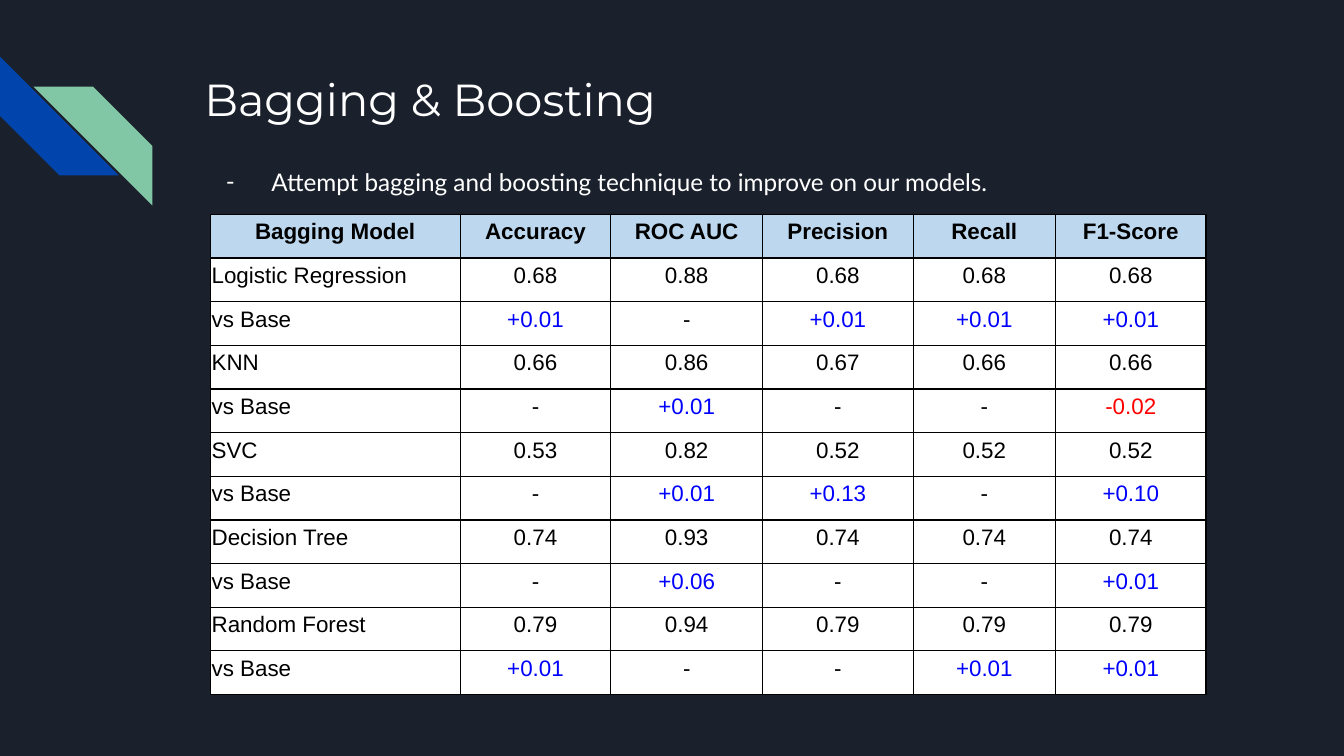
from typing import NamedTuple

from lxml import etree
from pptx import Presentation
from pptx import util as u
from pptx.dml.color import RGBColor
from pptx.enum import shapes, text
from pptx.oxml import ns

SCALE = 4572  # EMU per px, 200 px to the inch

NIGHT = RGBColor(0x1B, 0x21, 0x2C)
BLUE = RGBColor(0x01, 0x45, 0xAC)
GREEN = RGBColor(0x82, 0xC7, 0xA5)
WHITE = RGBColor(0xFF, 0xFF, 0xFF)
BLACK = RGBColor(0x00, 0x00, 0x00)
HEADER_FILL = RGBColor(0xBD, 0xD7, 0xEE)
GAIN = RGBColor(0x00, 0x00, 0xFF)
LOSS = RGBColor(0xFF, 0x00, 0x00)


class Box(NamedTuple):
    left: int
    top: int
    width: int
    height: int


class Stripe(NamedTuple):
    box: Box
    color: RGBColor
    rotation: int = 0
    flipped: bool = False


class ModelScore(NamedTuple):
    model: str
    scores: str
    changes: str


STRIPES = [
    Stripe(Box(0, 84, 177, 177), BLUE, rotation=270),
    Stripe(Box(50, 129, 177, 177), GREEN, flipped=True),
]
TITLE_BOX = Box(284, 87, 1540, 200)
BODY_BOX = Box(284, 222, 1540, 758)
TABLE_LEFT, TABLE_TOP, ROW_HEIGHT = 313, 319, 64
COLUMN_WIDTHS = [372, 224, 226, 224, 212, 224]
HEADINGS = ["Bagging Model", "Accuracy", "ROC AUC", "Precision", "Recall", "F1-Score"]
MODELS = [
    ModelScore("Logistic Regression", "0.68 0.88 0.68 0.68 0.68", "+0.01 - +0.01 +0.01 +0.01"),
    ModelScore("KNN", "0.66 0.86 0.67 0.66 0.66", "- +0.01 - - -0.02"),
    ModelScore("SVC", "0.53 0.82 0.52 0.52 0.52", "- +0.01 +0.13 - +0.10"),
    ModelScore("Decision Tree", "0.74 0.93 0.74 0.74 0.74", "- +0.06 - - +0.01"),
    ModelScore("Random Forest", "0.79 0.94 0.79 0.79 0.79", "+0.01 - - +0.01 +0.01"),
]


def px(length: int) -> u.Emu:
    return u.Emu(length * SCALE)


def write(frame, words: str, *, font: str, size: int, color: RGBColor,
          bold: bool = False, align=text.PP_ALIGN.LEFT, spacing: float = 1.0):
    """Put one formatted paragraph in a text frame and return it."""
    paragraph = frame.paragraphs[0]
    paragraph.alignment = align
    paragraph.line_spacing = spacing
    paragraph.space_before = paragraph.space_after = u.Pt(0)
    run = paragraph.add_run()
    run.text = words
    run.font.name, run.font.size, run.font.bold = font, u.Pt(size), bold
    run.font.color.rgb = color
    return paragraph


def place(holder, box: Box):
    """Move a placeholder and return its text frame."""
    holder.left, holder.top, holder.width, holder.height = map(px, box)
    frame = holder.text_frame
    frame.margin_left = frame.margin_right = frame.margin_top = frame.margin_bottom = px(20)
    frame.vertical_anchor = text.MSO_ANCHOR.TOP
    frame.auto_size = text.MSO_AUTO_SIZE.NONE
    frame.word_wrap = True
    return frame


def add_dash_bullet(paragraph, color: RGBColor, font: str) -> None:
    properties = paragraph._p.get_or_add_pPr()
    properties.set("marL", str(px(100)))
    properties.set("indent", str(px(-68)))
    bullet_color = etree.SubElement(properties, ns.qn("a:buClr"))
    etree.SubElement(bullet_color, ns.qn("a:srgbClr"), val=str(color))
    etree.SubElement(properties, ns.qn("a:buFont"), typeface=font)
    etree.SubElement(properties, ns.qn("a:buChar"), char="-")


def draw_stripe(group, stripe: Stripe) -> None:
    band = group.shapes.add_shape(shapes.MSO_SHAPE.DIAGONAL_STRIPE, *map(px, stripe.box))
    band.shadow.inherit = False
    band.fill.solid()
    band.fill.fore_color.rgb = stripe.color
    band.line.fill.background()
    band.rotation = stripe.rotation
    if stripe.flipped:
        band._element.spPr.xfrm.set("flipH", "1")


def border_cell(cell) -> None:
    properties = cell._tc.get_or_add_tcPr()
    for side in ("lnL", "lnR", "lnT", "lnB"):
        edge = etree.SubElement(properties, ns.qn(f"a:{side}"), w=str(u.Pt(0.75)))
        fill = etree.SubElement(edge, ns.qn("a:solidFill"))
        etree.SubElement(fill, ns.qn("a:srgbClr"), val=str(BLACK))


def value_color(value: str) -> RGBColor:
    if value.startswith("+"):
        return GAIN
    return LOSS if value.startswith("-") and len(value) > 1 else BLACK


def fill_cell(cell, words: str, is_header: bool, is_label: bool) -> None:
    border_cell(cell)
    cell.fill.solid()
    cell.fill.fore_color.rgb = HEADER_FILL if is_header else WHITE
    cell.margin_left = cell.margin_right = cell.margin_top = px(2)
    cell.margin_bottom = px(20)
    cell.vertical_anchor = text.MSO_ANCHOR.BOTTOM
    left_aligned = is_label and not is_header
    write(cell.text_frame, words, font="Arial", size=12, color=value_color(words),
          bold=is_header, spacing=1.0 if left_aligned else 1.15,
          align=text.PP_ALIGN.LEFT if left_aligned else text.PP_ALIGN.CENTER)


def draw_scores(slide) -> None:
    rows = [HEADINGS]
    for entry in MODELS:
        rows.append([entry.model, *entry.scores.split()])
        rows.append(["vs Base", *entry.changes.split()])
    box = Box(TABLE_LEFT, TABLE_TOP, sum(COLUMN_WIDTHS), ROW_HEIGHT * len(rows))
    scores = slide.shapes.add_table(len(rows), len(HEADINGS), *map(px, box)).table
    scores.first_row = scores.horz_banding = False
    for column, width in zip(scores.columns, COLUMN_WIDTHS):
        column.width = px(width)
    for r, row in enumerate(rows):
        for c, words in enumerate(row):
            fill_cell(scores.cell(r, c), words, is_header=r == 0, is_label=c == 0)


def main() -> None:
    deck = Presentation()
    deck.slide_width, deck.slide_height = px(2000), px(1125)
    slide = deck.slides.add_slide(deck.slide_layouts[1])
    slide.background.fill.solid()
    slide.background.fill.fore_color.rgb = NIGHT

    # Corner decoration
    corner = slide.shapes.add_group_shape()
    for stripe in STRIPES:
        draw_stripe(corner, stripe)

    # Title and introduction
    write(place(slide.shapes.title, TITLE_BOX), "Bagging & Boosting",
          font="Montserrat", size=24, color=WHITE)
    intro = write(place(slide.placeholders[1], BODY_BOX),
                  "Attempt bagging and boosting technique to improve on our models.",
                  font="Lato", size=13, color=WHITE, spacing=1.15)
    add_dash_bullet(intro, WHITE, "Lato")

    # Scores of the bagged models
    draw_scores(slide)
    deck.save("out.pptx")


if __name__ == "__main__":
    main()
